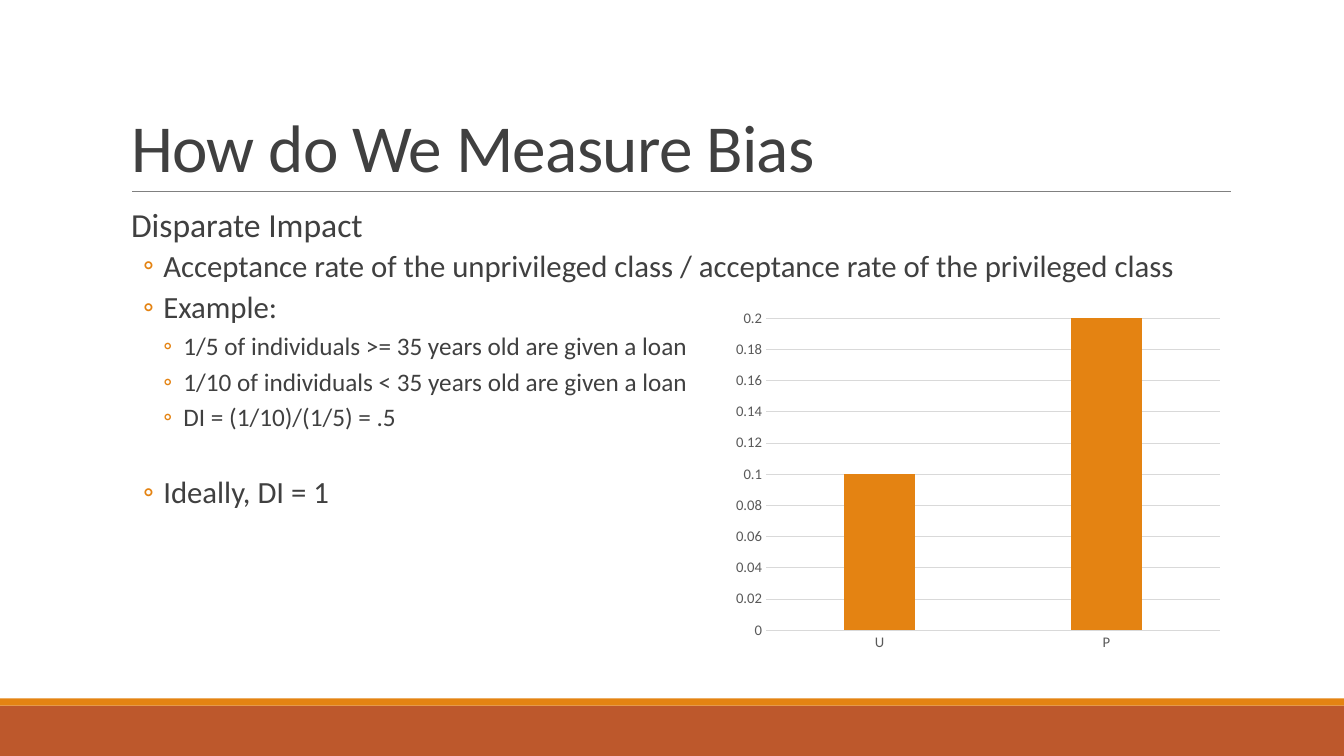
from lxml import etree
from pptx import Presentation
from pptx.chart.data import CategoryChartData
from pptx.dml.color import RGBColor
from pptx.enum.chart import XL_CHART_TYPE, XL_TICK_MARK
from pptx.enum.shapes import MSO_CONNECTOR, MSO_SHAPE
from pptx.enum.text import MSO_ANCHOR, MSO_AUTO_SIZE, PP_ALIGN
from pptx.oxml.ns import qn
from pptx.util import Inches, Pt

COLUMN = XL_CHART_TYPE.COLUMN_CLUSTERED
NO_TICK = XL_TICK_MARK.NONE
STRAIGHT = MSO_CONNECTOR.STRAIGHT
RECTANGLE = MSO_SHAPE.RECTANGLE
TOP, BOTTOM = MSO_ANCHOR.TOP, MSO_ANCHOR.BOTTOM
NO_AUTOFIT = MSO_AUTO_SIZE.NONE
LEFT = PP_ALIGN.LEFT

TITLE = "How do We Measure Bias"
POINTS = [
    (0, "Disparate Impact"),
    (1, "Acceptance rate of the unprivileged class / acceptance rate of the privileged class"),
    (1, "Example:"),
    (2, "1/5 of individuals >= 35 years old are given a loan"),
    (2, "1/10 of individuals < 35 years old are given a loan"),
    (2, "DI = (1/10)/(1/5) = .5"),
    (1, "Ideally, DI = 1"),
]
ACCEPTANCE_RATES = {"U": 0.1, "P": 0.2}

THEME = {
    "font": "Calibri",
    "text": RGBColor.from_string("404040"),
    "accent": RGBColor.from_string("E48312"),
    "footer": RGBColor.from_string("BD582C"),
    "rule": RGBColor.from_string("808080"),
    "grid": RGBColor.from_string("D9D9D9"),
    "axis": RGBColor.from_string("595959"),
    "title_size": 48,
    "axis_size": 10.5,
}
LEVELS = [
    {"size": 24, "margin": 0.1, "before": 12, "after": 2},
    {"size": 22, "margin": 0.42, "before": 2, "after": 4, "bullet": "◦"},
    {"size": 18, "margin": 0.62, "before": 2, "after": 4, "bullet": "◦"},
]
BULLET_HANG = 0.2
SECTION_GAP = 28
SLIDE_WIDTH, SLIDE_HEIGHT = 13.33, 7.5
CONTENT_LEFT, CONTENT_WIDTH = 1.2, 11
FOOTER_BANDS = [(7, 0.5, THEME["footer"]), (6.93, 0.07, THEME["accent"])]


def write(paragraph, text, *, size, line_spacing=0.9, before=0, after=0,
          margin=0, bullet=None, tracking=0):
    run = paragraph.add_run()
    run.text = text
    run.font.name = THEME["font"]
    run.font.size = Pt(size)
    run.font.color.rgb = THEME["text"]
    if tracking:
        run.font._element.set("spc", str(round(tracking * 100)))
    paragraph.alignment = LEFT
    paragraph.line_spacing = line_spacing
    paragraph.space_before = Pt(before)
    paragraph.space_after = Pt(after)
    properties = paragraph._p.get_or_add_pPr()
    properties.set("marL", str(Inches(margin)))
    properties.set("indent", str(Inches(-BULLET_HANG if bullet else 0)))
    if bullet:
        bullet_color = etree.SubElement(properties, qn("a:buClr"))
        etree.SubElement(bullet_color, qn("a:srgbClr"), val=str(THEME["accent"]))
        etree.SubElement(properties, qn("a:buFont"), typeface=THEME["font"])
        etree.SubElement(properties, qn("a:buChar"), char=bullet)
    else:
        etree.SubElement(properties, qn("a:buNone"))


def add_footer(slide):
    for top, height, color in FOOTER_BANDS:
        band = slide.shapes.add_shape(
            RECTANGLE, 0, Inches(top), Inches(SLIDE_WIDTH), Inches(height))
        band.fill.solid()
        band.fill.fore_color.rgb = color
        band.line.fill.background()
        band.shadow.inherit = False


def add_title(slide):
    rule = slide.shapes.add_connector(
        STRAIGHT, Inches(1.31), Inches(1.9), Inches(12.21), Inches(1.9))
    rule.line.color.rgb = THEME["rule"]
    rule.line.width = Pt(0.5)
    etree.SubElement(rule._element.spPr, qn("a:effectLst"))

    title = slide.shapes.title
    title.left, title.top = Inches(CONTENT_LEFT), Inches(0.31)
    title.width, title.height = Inches(CONTENT_WIDTH), Inches(1.59)
    title.text_frame.vertical_anchor = BOTTOM
    title.text_frame.auto_size = NO_AUTOFIT
    write(title.text_frame.paragraphs[0], TITLE, size=THEME["title_size"],
          line_spacing=0.85, tracking=-0.5)


def add_points(slide):
    body = slide.shapes.add_textbox(
        Inches(CONTENT_LEFT), Inches(2.02), Inches(CONTENT_WIDTH), Inches(4.4))
    frame = body.text_frame
    frame.word_wrap = True
    frame.auto_size = NO_AUTOFIT
    frame.vertical_anchor = TOP
    frame.margin_left = frame.margin_right = 0
    previous_level = 0
    for index, (level, point) in enumerate(POINTS):
        paragraph = frame.add_paragraph() if index else frame.paragraphs[0]
        paragraph.level = level
        style = dict(LEVELS[level])
        if level < previous_level:
            style["before"] = SECTION_GAP
        write(paragraph, point, **style)
        previous_level = level


def add_rates_chart(slide):
    rates = CategoryChartData()
    rates.categories = list(ACCEPTANCE_RATES)
    rates.add_series("Series 1", list(ACCEPTANCE_RATES.values()))
    chart = slide.shapes.add_chart(
        COLUMN, Inches(7.2), Inches(3), Inches(5), Inches(3.54), rates).chart
    chart.has_legend = False
    chart.has_title = False
    chart.font.name = THEME["font"]
    chart.font.size = Pt(THEME["axis_size"])
    chart.font.color.rgb = THEME["axis"]

    bars = chart.plots[0]
    bars.gap_width = 219
    bars.overlap = -27
    bars.vary_by_categories = False
    bars.series[0].format.fill.solid()
    bars.series[0].format.fill.fore_color.rgb = THEME["accent"]

    class_axis, rate_axis = chart.category_axis, chart.value_axis
    for axis in (class_axis, rate_axis):
        axis.major_tick_mark = axis.minor_tick_mark = NO_TICK
    rate_axis.minimum_scale = 0
    rate_axis.maximum_scale = 0.2
    rate_axis.major_unit = 0.02
    rate_axis.format.line.fill.background()
    for line in (class_axis.format.line, rate_axis.major_gridlines.format.line):
        line.color.rgb = THEME["grid"]
        line.width = Pt(0.75)


def main():
    deck = Presentation()
    deck.slide_width = Inches(SLIDE_WIDTH)
    deck.slide_height = Inches(SLIDE_HEIGHT)
    slide = deck.slides.add_slide(deck.slide_layouts[5])
    add_footer(slide)
    add_title(slide)
    add_points(slide)
    add_rates_chart(slide)
    deck.save("out.pptx")


if __name__ == "__main__":
    main()
